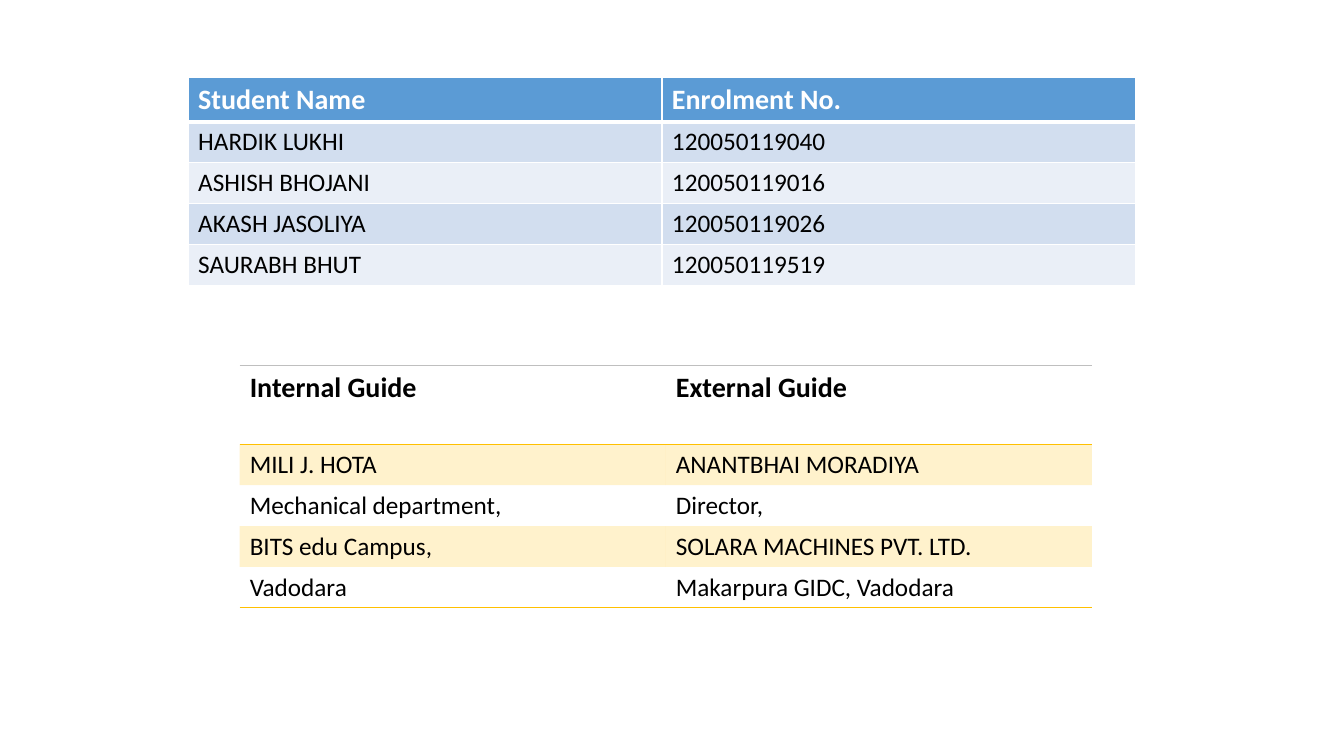
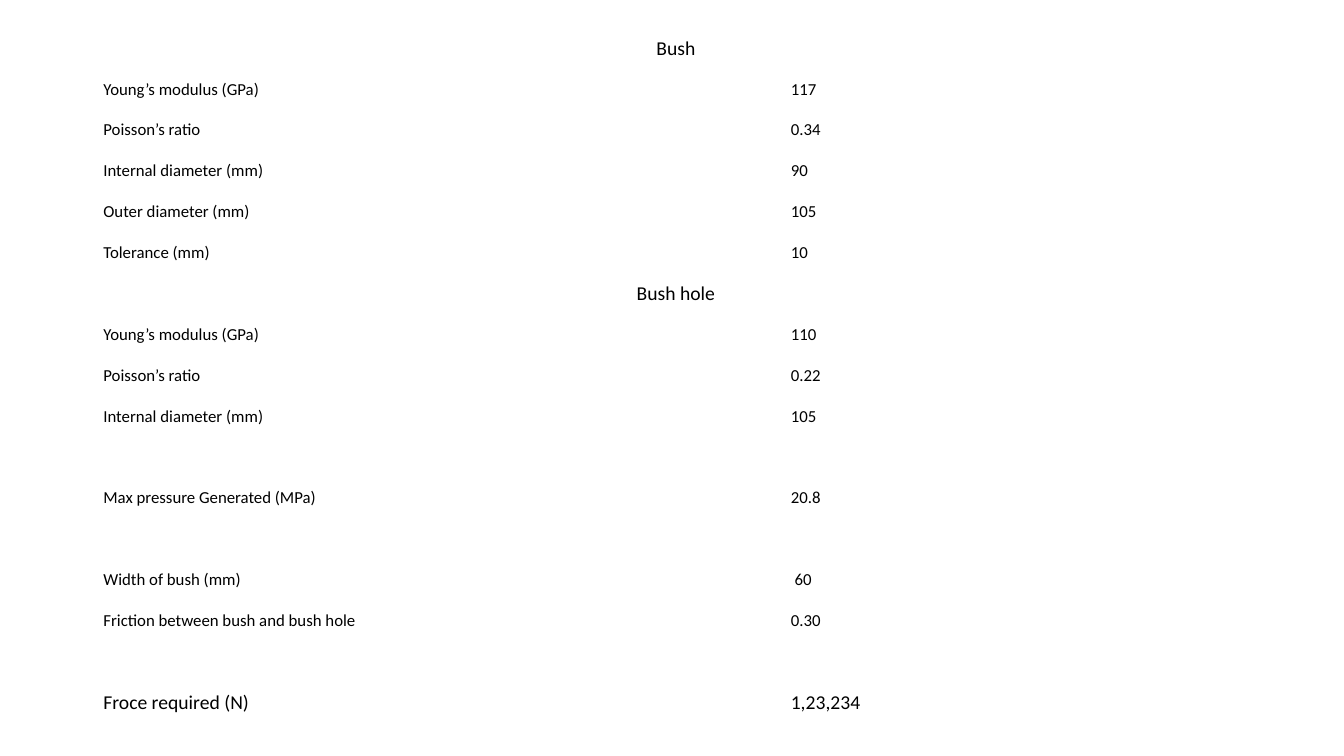
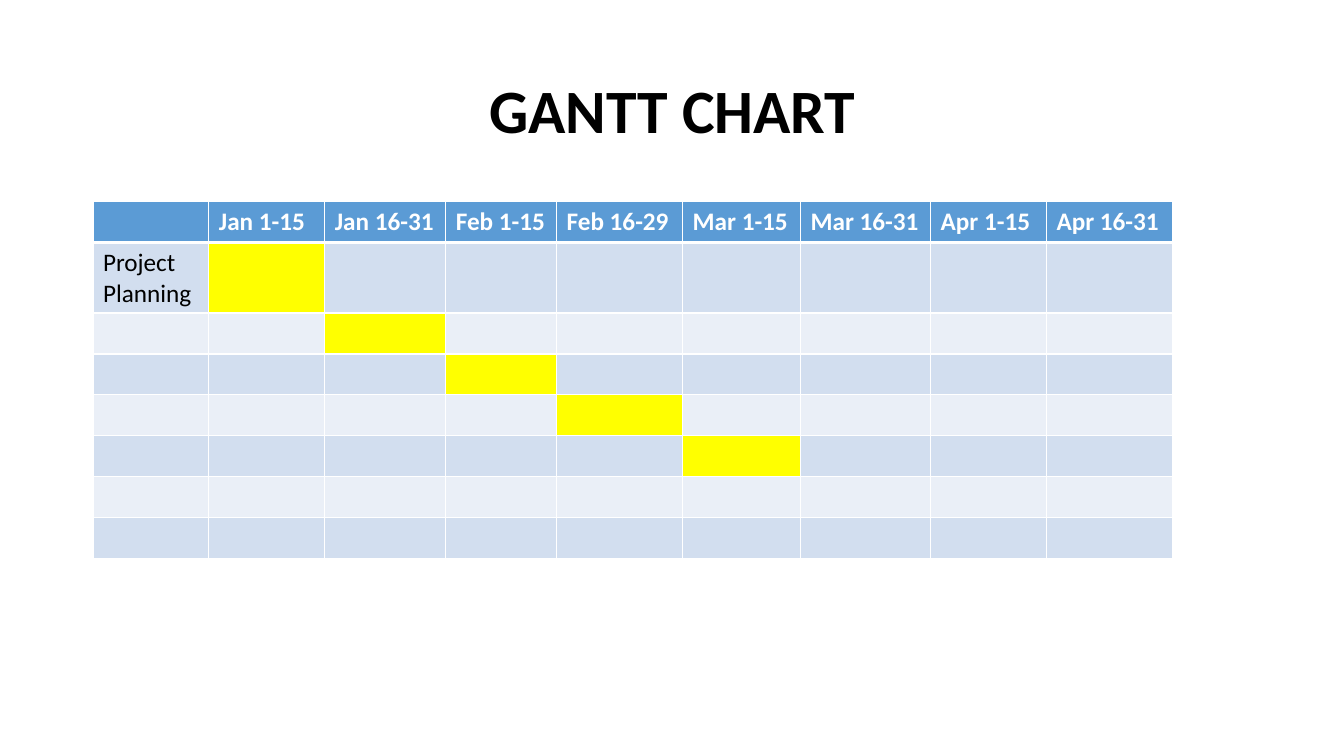
from dataclasses import dataclass

from lxml.etree import SubElement
from pptx import Presentation
from pptx.dml.color import RGBColor
from pptx.enum.text import MSO_ANCHOR as Anchor, PP_ALIGN as Align
from pptx.oxml.ns import qn
from pptx.util import Inches, Pt

SLIDE_WIDTH, SLIDE_HEIGHT = Inches(13.33), Inches(7.5)
GRID = 12
NO_STYLE = "{2D5ABB26-0587-4C30-8999-92F81FD0307C}"


@dataclass(frozen=True)
class Theme:
    font: str = "Calibri"
    ink: str = "000000"
    white: str = "FFFFFF"
    header: str = "5B9BD5"
    bands: tuple = ("D2DEEF", "EAEFF7")
    amber: str = "FFC000"
    grey: str = "BFBFBF"
    highlight: str = "FFFF00"
    title_size: int = 44
    heading_size: int = 20
    body_size: int = 18
    section_size: int = 14
    small_size: int = 12
    row_height: float = 29.2
    tall_row_height: float = 56.4


THEME = Theme()


@dataclass(frozen=True)
class Box:
    """A place on the slide, in columns and rows of a 12 by 12 grid."""
    column: float
    row: float
    columns: float
    rows: float = 0

    def lengths(self):
        across, down = SLIDE_WIDTH / GRID, SLIDE_HEIGHT / GRID
        return [round(length) for length in (self.column * across, self.row * down,
                                             self.columns * across, self.rows * down)]


def write(text_frame, text, size, color=THEME.ink, bold=False, align=Align.LEFT, spacing=1.0):
    paragraph = text_frame.paragraphs[0]
    paragraph.alignment = align
    paragraph.line_spacing = spacing
    run = paragraph.add_run()
    run.text = text
    font = run.font
    font.name, font.size, font.bold = THEME.font, Pt(size), bold
    font.color.rgb = RGBColor.from_string(color)


def add_plain_table(slide, box, row_count, shares):
    """Add an unstyled table whose columns divide the box by shares."""
    left, top, width, _ = box.lengths()
    frame = slide.shapes.add_table(row_count, len(shares), left, top, width,
                                   Pt(THEME.row_height) * row_count)
    for style in frame.element.iter(qn("a:tableStyleId")):
        style.text = NO_STYLE
    table = frame.table
    table.first_row = table.horz_banding = False
    for column, share in zip(table.columns, shares):
        column.width = round(width * share / sum(shares))
    for row in table.rows:
        row.height = Pt(THEME.row_height)
    return table


def set_borders(cell, **edges):
    """Draw edges L, R, T and B, each a (color, points) pair; call before filling."""
    properties = cell._tc.get_or_add_tcPr()
    for side in "LRTB":
        if side in edges:
            color, points = edges[side]
            line = SubElement(properties, qn(f"a:ln{side}"), w=str(Pt(points)))
            SubElement(SubElement(line, qn("a:solidFill")), qn("a:srgbClr"), val=color)


def fill_cell(cell, color, opacity=None):
    cell.fill.solid()
    cell.fill.fore_color.rgb = RGBColor.from_string(color)
    if opacity:
        color_element = cell._tc.tcPr.find(qn("a:solidFill")).find(qn("a:srgbClr"))
        SubElement(color_element, qn("a:alpha"), val=str(opacity * 1000))


def banded_table(slide, box, rows, shares, header_size, highlights=()):
    """Blue header over two alternating bands; highlights are (row, column) pairs."""
    table = add_plain_table(slide, box, len(rows), shares)
    thin, thick = (THEME.white, 1), (THEME.white, 3)
    for row_index, texts in enumerate(rows):
        is_header = row_index == 0
        band = THEME.header if is_header else THEME.bands[(row_index - 1) % 2]
        for column_index, text in enumerate(texts):
            cell = table.cell(row_index, column_index)
            set_borders(cell, L=thin, R=thin, T=thick if row_index == 1 else thin,
                        B=thick if is_header else thin)
            marked = (row_index, column_index) in highlights
            fill_cell(cell, THEME.highlight if marked else band)
            if text:
                write(cell.text_frame, text, header_size if is_header else THEME.body_size,
                      THEME.white if is_header else THEME.ink, is_header)


def guide_table(slide, box, rows):
    table = add_plain_table(slide, box, len(rows), [1] * len(rows[0]))
    table.rows[0].height = Pt(THEME.tall_row_height)
    rule = (THEME.amber, 1)
    for row_index, texts in enumerate(rows):
        is_header = row_index == 0
        for column_index, text in enumerate(texts):
            cell = table.cell(row_index, column_index)
            if is_header:
                set_borders(cell, T=(THEME.grey, 1), B=rule)
            elif row_index == len(rows) - 1:
                set_borders(cell, B=rule)
            if row_index % 2:
                fill_cell(cell, THEME.amber, opacity=20)
            write(cell.text_frame, text,
                  THEME.heading_size if is_header else THEME.body_size, bold=is_header)


def specification_table(slide, box, rows, shares, large_rows):
    """One-text rows are section headings, empty rows are gaps; both span the table."""
    table = add_plain_table(slide, box, len(rows), shares)
    for row_index, texts in enumerate(rows):
        spans = len(texts) < len(shares)
        if spans:
            table.cell(row_index, 0).merge(table.cell(row_index, len(shares) - 1))
        large = spans or row_index in large_rows
        for column_index, text in enumerate(texts):
            cell = table.cell(row_index, column_index)
            cell.vertical_anchor = Anchor.MIDDLE
            cell.margin_left = cell.margin_right = Inches(0.07)
            cell.margin_top = cell.margin_bottom = 0
            write(cell.text_frame, text, THEME.section_size if large else THEME.small_size,
                  align=Align.CENTER if spans else Align.JUSTIFY, spacing=1.15)


def add_title(slide, box, text):
    text_frame = slide.shapes.add_textbox(*box.lengths()).text_frame
    text_frame.word_wrap = True
    text_frame.vertical_anchor = Anchor.MIDDLE
    write(text_frame, text, THEME.title_size, bold=True, align=Align.CENTER, spacing=0.9)


def team_slide(slide):
    students = [
        ("Student Name", "Enrolment No."),
        ("HARDIK LUKHI", "120050119040"),
        ("ASHISH BHOJANI", "120050119016"),
        ("AKASH JASOLIYA", "120050119026"),
        ("SAURABH BHUT", "120050119519"),
    ]
    guides = [
        ("Internal Guide", "External Guide"),
        ("MILI J. HOTA", "ANANTBHAI MORADIYA"),
        ("Mechanical department,", "Director,"),
        ("BITS edu Campus,", "SOLARA MACHINES PVT. LTD."),
        ("Vadodara", "Makarpura GIDC, Vadodara"),
    ]
    banded_table(slide, Box(1.68, 1.23, 8.46), students, (1, 1), THEME.heading_size)
    guide_table(slide, Box(2.14, 5.8, 7.61), guides)


def force_slide(slide):
    rows = [
        ("Bush",),
        ("Young’s modulus (GPa)", "117"),
        ("Poisson’s ratio", "0.34"),
        ("Internal diameter (mm)", "90"),
        ("Outer diameter (mm)", "105"),
        ("Tolerance (mm)", "10"),
        ("Bush hole",),
        ("Young’s modulus (GPa)", "110"),
        ("Poisson’s ratio", "0.22"),
        ("Internal diameter (mm)", "105"),
        (),
        ("Max pressure Generated (MPa)", "20.8"),
        (),
        ("Width of bush (mm)", " 60"),
        ("Friction between bush and bush hole", "0.30"),
        (),
        ("Froce required (N)", "1,23,234"),
    ]
    specification_table(slide, Box(0.86, 0.42, 10.35), rows, (6.82, 4.68),
                        large_rows={len(rows) - 1})


def gantt_slide(slide):
    periods = ("Jan 1-15", "Jan 16-31", "Feb 1-15", "Feb 16-29",
               "Mar 1-15", "Mar 16-31", "Apr 1-15", "Apr 16-31")
    tasks = ["Project Planning"] + [""] * 6
    scheduled = 5
    rows = [("", *periods)] + [(task, *[""] * len(periods)) for task in tasks]
    shares = (1.15, 1.15, 1.2, 1.1, 1.25, 1.17, 1.29, 1.15, 1.25)
    add_title(slide, Box(0.83, 0.64, 10.35, 2.32), "GANTT CHART")
    banded_table(slide, Box(0.83, 3.2, 9.64), rows, shares, THEME.body_size,
                 highlights={(step, step) for step in range(1, scheduled + 1)})


def main():
    presentation = Presentation()
    presentation.slide_width, presentation.slide_height = SLIDE_WIDTH, SLIDE_HEIGHT
    blank = presentation.slide_layouts[6]
    for build in (team_slide, force_slide, gantt_slide):
        build(presentation.slides.add_slide(blank))
    presentation.save("out.pptx")


if __name__ == "__main__":
    main()
